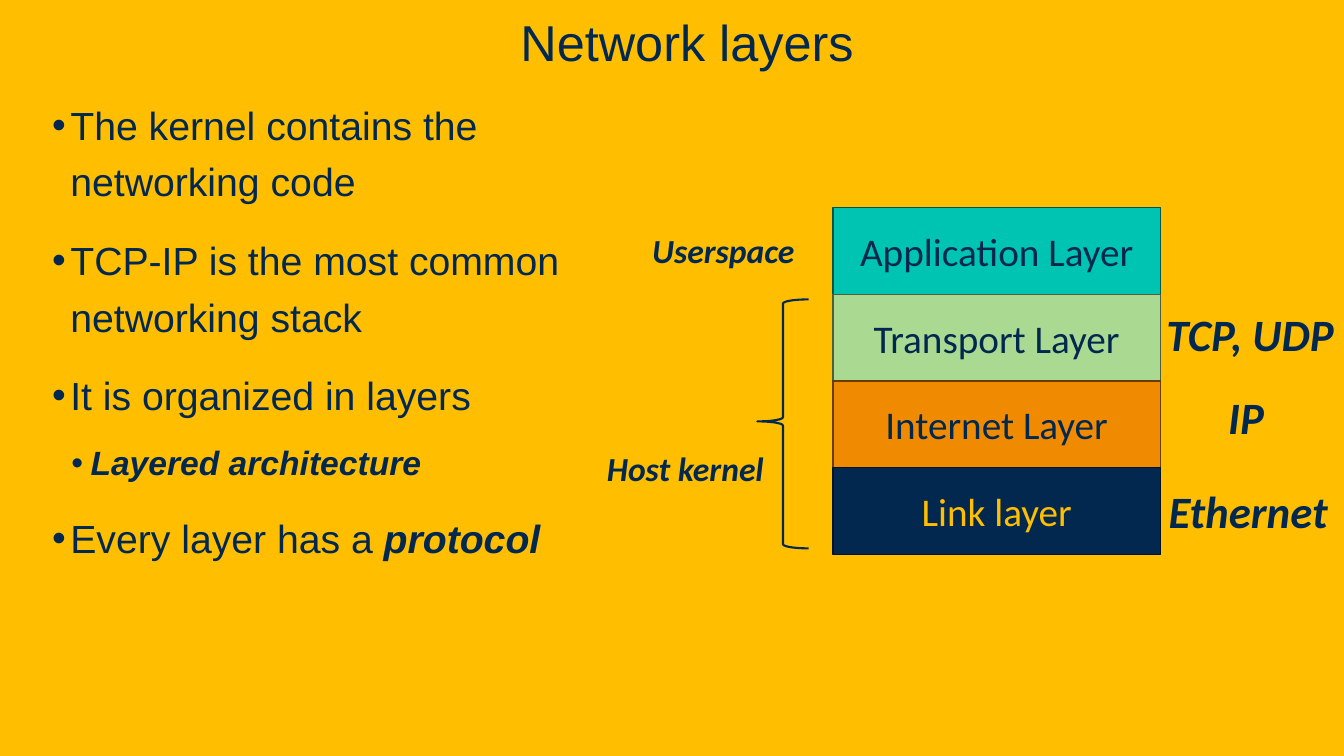
from dataclasses import dataclass

from lxml.etree import SubElement
from pptx import Presentation
from pptx.dml.color import RGBColor
from pptx.enum.shapes import MSO_SHAPE
from pptx.enum.text import MSO_ANCHOR, MSO_AUTO_SIZE, PP_ALIGN
from pptx.oxml.ns import qn
from pptx.util import Inches, Pt


@dataclass(frozen=True)
class Theme:
    amber: str = "FFBE00"
    navy: str = "022850"
    teal: str = "00C4B2"
    green: str = "AADA91"
    orange: str = "F08A00"
    teal_edge: str = "00564E"
    green_edge: str = "4B6040"
    orange_edge: str = "693C00"
    navy_edge: str = "011223"
    heading_font: str = "Arial"
    diagram_font: str = "Calibri"
    title_size: int = 36
    protocol_size: int = 32
    text_size: int = 28
    small_size: int = 24


THEME = Theme()

LAYERS = [
    ("Application Layer", THEME.teal, THEME.teal_edge, THEME.navy),
    ("Transport Layer", THEME.green, THEME.green_edge, THEME.navy),
    ("Internet Layer", THEME.orange, THEME.orange_edge, THEME.navy),
    ("Link layer", THEME.navy, THEME.navy_edge, THEME.amber),
]

# Each point: level, plain text, emphasised text
POINTS = [
    (0, "The kernel contains the networking code", ""),
    (0, "TCP-IP is the most common networking stack", ""),
    (0, "It is organized in layers", ""),
    (1, "", "Layered architecture"),
    (0, "Every layer has a ", "protocol"),
]


def color(value):
    return RGBColor.from_string(value)


def write(paragraph, text, size=THEME.text_size, font=THEME.diagram_font,
          ink=THEME.navy, strong=False, align=None):
    """Add a run; strong means bold italic."""
    run = paragraph.add_run()
    run.text = text
    run.font.size = Pt(size)
    run.font.name = font
    run.font.color.rgb = color(ink)
    run.font.bold = run.font.italic = strong
    if align is not None:
        paragraph.alignment = align


def indent(paragraph, left, first=0):
    properties = paragraph._p.get_or_add_pPr()
    properties.set("marL", str(Inches(left)))
    properties.set("indent", str(Inches(first)))
    return properties


def add_title(slide, left, top, width, height):
    title = slide.shapes.title
    title.left, title.top = Inches(left), Inches(top)
    title.width, title.height = Inches(width), Inches(height)
    frame = title.text_frame
    frame.auto_size = MSO_AUTO_SIZE.NONE
    frame.vertical_anchor = MSO_ANCHOR.BOTTOM
    heading = frame.paragraphs[0]
    heading.space_before = Pt(25)
    indent(heading, 0.3)
    write(heading, "Network layers", THEME.title_size, THEME.heading_font,
          align=PP_ALIGN.CENTER)


def add_points(slide, left, top, width, height):
    body = slide.shapes.add_textbox(Inches(left), Inches(top), Inches(width), Inches(height))
    frame = body.text_frame
    frame.word_wrap = True
    for number, (level, plain, emphasis) in enumerate(POINTS):
        point = frame.add_paragraph() if number else frame.paragraphs[0]
        point.level = level
        point.line_spacing = 1.2
        point.space_before = Pt(5 if level else 10)
        point.space_after = Pt(6)
        properties = indent(point, *((0.38, -0.19) if level else (0.18, -0.18)))
        SubElement(properties, qn("a:buFont")).set("typeface", THEME.heading_font)
        SubElement(properties, qn("a:buChar")).set("char", "•")
        size = THEME.small_size if level else THEME.text_size
        for text, strong in ((plain, False), (emphasis, True)):
            if text:
                write(point, text, size, THEME.heading_font, strong=strong)


def add_stack(slide, left, top, width, height):
    layer_height = height / len(LAYERS)
    for row, (name, fill, edge, ink) in enumerate(LAYERS):
        layer = slide.shapes.add_shape(
            MSO_SHAPE.RECTANGLE, Inches(left), Inches(top + row * layer_height),
            Inches(width), Inches(layer_height))
        layer.shadow.inherit = False
        layer.fill.solid()
        layer.fill.fore_color.rgb = color(fill)
        layer.line.color.rgb = color(edge)
        layer.line.width = Pt(1)
        layer.text_frame.vertical_anchor = MSO_ANCHOR.MIDDLE
        write(layer.text_frame.paragraphs[0], name, ink=ink, align=PP_ALIGN.CENTER)


def add_label(slide, text, left, top, width, height, size, align=PP_ALIGN.LEFT):
    label = slide.shapes.add_textbox(Inches(left), Inches(top), Inches(width), Inches(height))
    label.text_frame.word_wrap = False
    label.text_frame.auto_size = MSO_AUTO_SIZE.SHAPE_TO_FIT_TEXT
    write(label.text_frame.paragraphs[0], text, size, strong=True, align=align)


def add_spaces(slide, left, top):
    """Name the userspace and kernel parts, with a brace for the kernel."""
    add_label(slide, "Userspace", left + 0.45, top, 1.63, 0.5, THEME.small_size)
    add_label(slide, "Host kernel", left, top + 2.16, 1.89, 0.5, THEME.small_size)
    brace = slide.shapes.add_shape(
        MSO_SHAPE.RIGHT_BRACE, Inches(left + 1.59), Inches(top + 0.74),
        Inches(0.51), Inches(2.47))
    brace.rotation = 180
    brace.adjustments[0] = 0.08
    brace.adjustments[1] = 0.51
    brace.shadow.inherit = False
    brace.fill.background()
    brace.line.color.rgb = color(THEME.navy)
    brace.line.width = Pt(1.5)


def add_protocols(slide, left, top):
    for name, across, down, width in (
            ("TCP, UDP", 0, 0, 1.88), ("IP", 0.62, 0.83, 0.56), ("Ethernet", 0.02, 1.76, 1.8)):
        add_label(slide, name, left + across, top + down, width, 0.64,
                  THEME.protocol_size, PP_ALIGN.CENTER)


def build_network_layers(deck):
    slide = deck.slides.add_slide(deck.slide_layouts[5])
    slide.background.fill.solid()
    slide.background.fill.fore_color.rgb = color(THEME.amber)
    add_title(slide, 0, 0, 13.33, 0.76)
    add_points(slide, 0.42, 0.86, 6.16, 5.52)
    add_stack(slide, 8.26, 2.06, 3.25, 3.44)
    add_spaces(slide, 5.92, 2.23)
    add_protocols(slide, 11.46, 2.99)


def main():
    deck = Presentation()
    deck.slide_width, deck.slide_height = Inches(13.33), Inches(7.5)
    build_network_layers(deck)
    deck.save("out.pptx")


if __name__ == "__main__":
    main()
